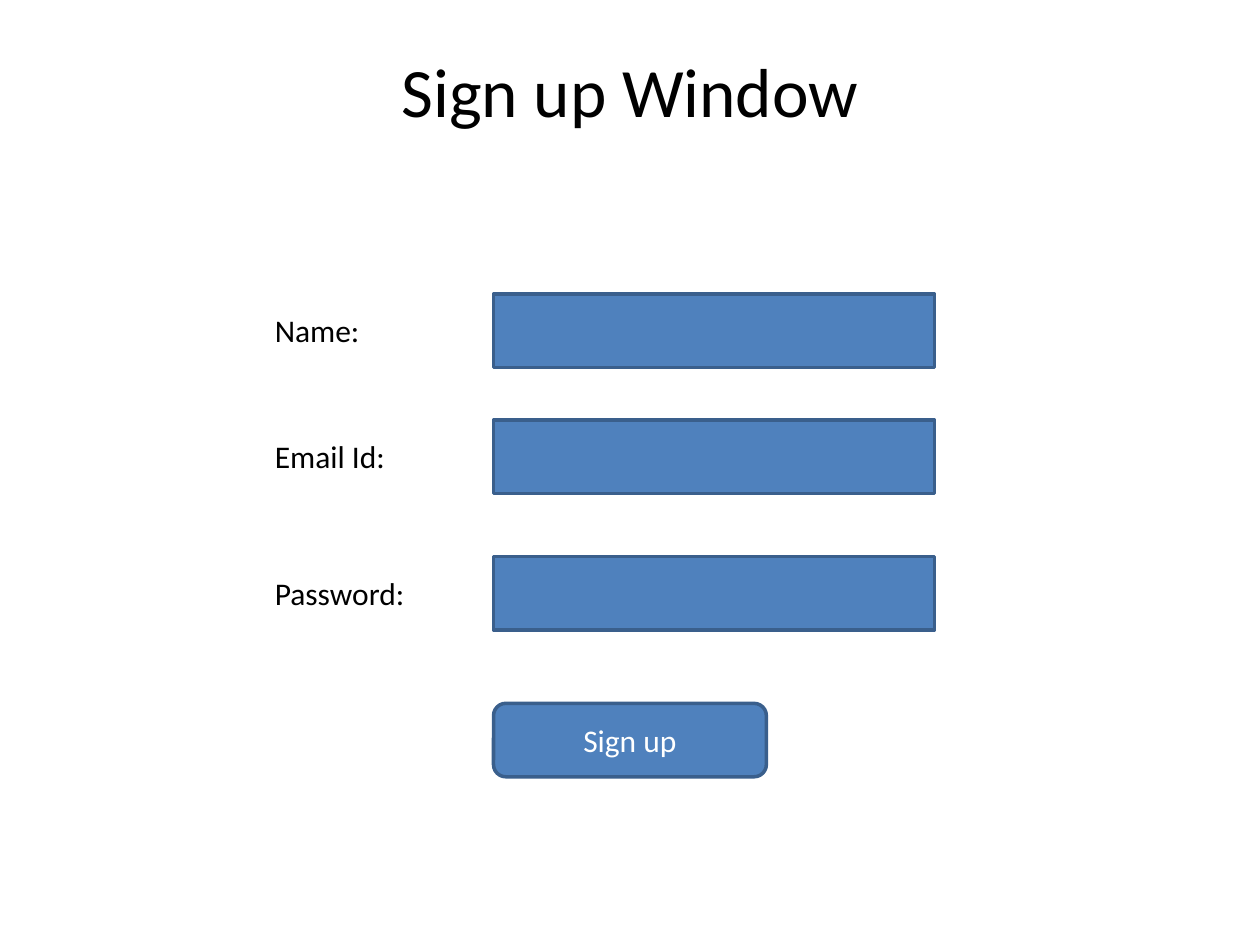
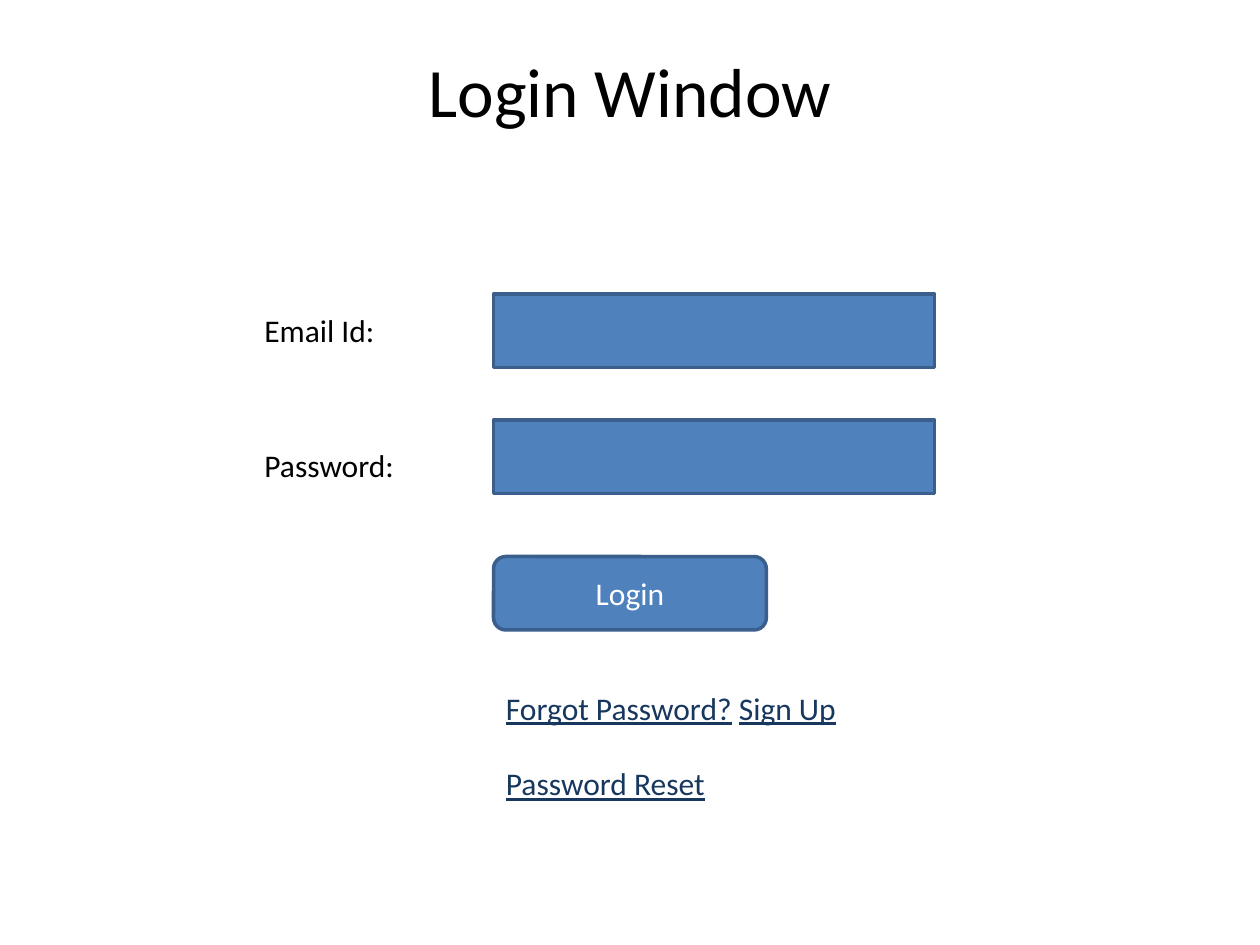
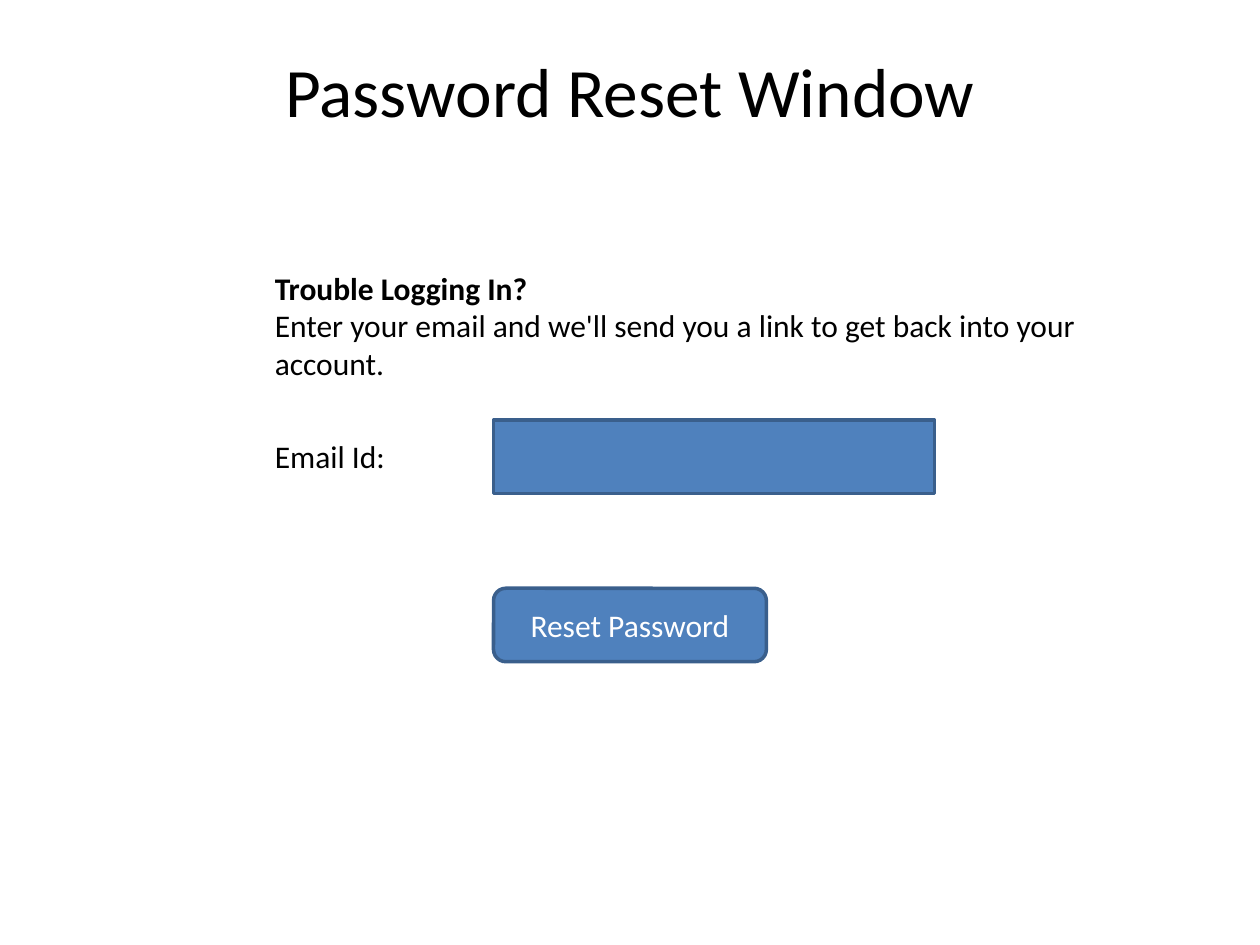
from pptx import Presentation
from pptx.dml.color import RGBColor
from pptx.enum.shapes import MSO_SHAPE as Form
from pptx.enum.text import MSO_ANCHOR as Anchor, MSO_AUTO_SIZE as Fit, PP_ALIGN as Align
from pptx.util import Cm, Pt

BLACK = RGBColor(0x00, 0x00, 0x00)
WHITE = RGBColor(0xFF, 0xFF, 0xFF)
BLUE = RGBColor(0x4F, 0x81, 0xBD)
EDGE = RGBColor(0x3A, 0x5F, 0x8C)
NAVY = RGBColor(0x17, 0x37, 0x5E)

# Font formats
BODY = {"name": "Calibri", "size": Pt(18)}
HEAD = {"name": "Calibri", "size": Pt(39.6)}
BOLD = {**BODY, "bold": True}
LINK = {**BODY, "underline": True}

# Shared grid, in centimetres
LEFT = 5.29             # label column
FIELD = 9.95            # field and button column
ROWS = 5.93, 8.47, 11.22
HIGH = 1.48             # field and button height
DROP = 0.22             # label top below its field top
LINE = 1.02             # height of a one-line text box


def style(font, form, color):
    for key, value in form.items():
        setattr(font, key, value)
    font.color.rgb = color


def write(para, text, form=BODY, color=BLACK):
    run = para.add_run()
    run.text = text
    style(run.font, form, color)


def page(deck, title):
    """Add a slide that has only a title."""
    slide = deck.slides.add_slide(deck.slide_layouts[0])
    sub = slide.placeholders[1].element
    sub.getparent().remove(sub)
    head = slide.shapes.title
    place = {"left": 1.9, "top": 0.85, "width": 21.6, "height": 1.9}
    for key, value in place.items():
        setattr(head, key, Cm(value))
    frame = head.text_frame
    frame.auto_size = Fit.NONE
    frame.vertical_anchor = Anchor.MIDDLE
    para = frame.paragraphs[0]
    para.alignment = Align.CENTER
    write(para, title, HEAD)
    return slide


def block(slide, form, top, width):
    """Add a blue shape in the field column."""
    shape = slide.shapes.add_shape(form, Cm(FIELD), Cm(top), Cm(width), Cm(HIGH))
    shape.shadow.inherit = False
    shape.fill.solid()
    shape.fill.fore_color.rgb = BLUE
    shape.line.color.rgb = EDGE
    shape.line.width = Pt(2)
    return shape


def field(slide, top):
    block(slide, Form.RECTANGLE, top, 8.89)


def button(slide, text, top):
    frame = block(slide, Form.ROUNDED_RECTANGLE, top, 5.5).text_frame
    frame.vertical_anchor = Anchor.MIDDLE
    para = frame.paragraphs[0]
    para.alignment = Align.CENTER
    write(para, text, BODY, WHITE)


def box(slide, left, top, width, high=LINE):
    """Add a text box that wraps and grows."""
    frame = slide.shapes.add_textbox(Cm(left), Cm(top), Cm(width), Cm(high)).text_frame
    frame.word_wrap = True
    frame.auto_size = Fit.SHAPE_TO_FIT_TEXT
    return frame


def label(slide, text, top, left=LEFT, width=4.02, drop=DROP):
    frame = box(slide, left, top + drop, width)
    write(frame.paragraphs[0], text)


def signup(deck):
    slide = page(deck, "Sign up Window")
    items = ("Name:", 2.39), ("Email Id:", 4.02), ("Password:", 3.81)
    for (text, width), top in zip(items, ROWS):
        label(slide, text, top, width=width)
        field(slide, top)
    button(slide, "Sign up", 14.18)


def login(deck):
    slide = page(deck, "Login Window")
    items = ("Email Id:", DROP), ("Password:", 0.4)
    for (text, drop), top in zip(items, ROWS):
        label(slide, text, top, 5.08, 4.23, drop)
        field(slide, top)
    button(slide, "Login", ROWS[2])

    # Links below the button
    frame = box(slide, FIELD, 13.76, 11.0, 2.56)
    para = frame.paragraphs[0]
    write(para, "Forgot Password?", LINK, NAVY)
    write(para, " ", BODY, NAVY)
    write(para, "Sign Up", LINK, NAVY)
    para = frame.add_paragraph()
    para.space_before = Pt(21.6)
    write(para, "Password Reset", LINK, NAVY)


def reset(deck):
    slide = page(deck, "Password Reset Window")
    label(slide, "Email Id:", ROWS[1])
    field(slide, ROWS[1])
    button(slide, "Reset Password", 11.86)

    # Advice above the field
    frame = box(slide, LEFT, 5.29, 17.99, 2.56)
    write(frame.paragraphs[0], "Trouble Logging In?", BOLD)
    write(frame.add_paragraph(),
          "Enter your email and we'll send you a link to get back into your account.")


def main():
    deck = Presentation()
    deck.slide_width, deck.slide_height = Cm(25.4), Cm(19.05)
    for build in (signup, login, reset):
        build(deck)
    deck.save("out.pptx")


main()
